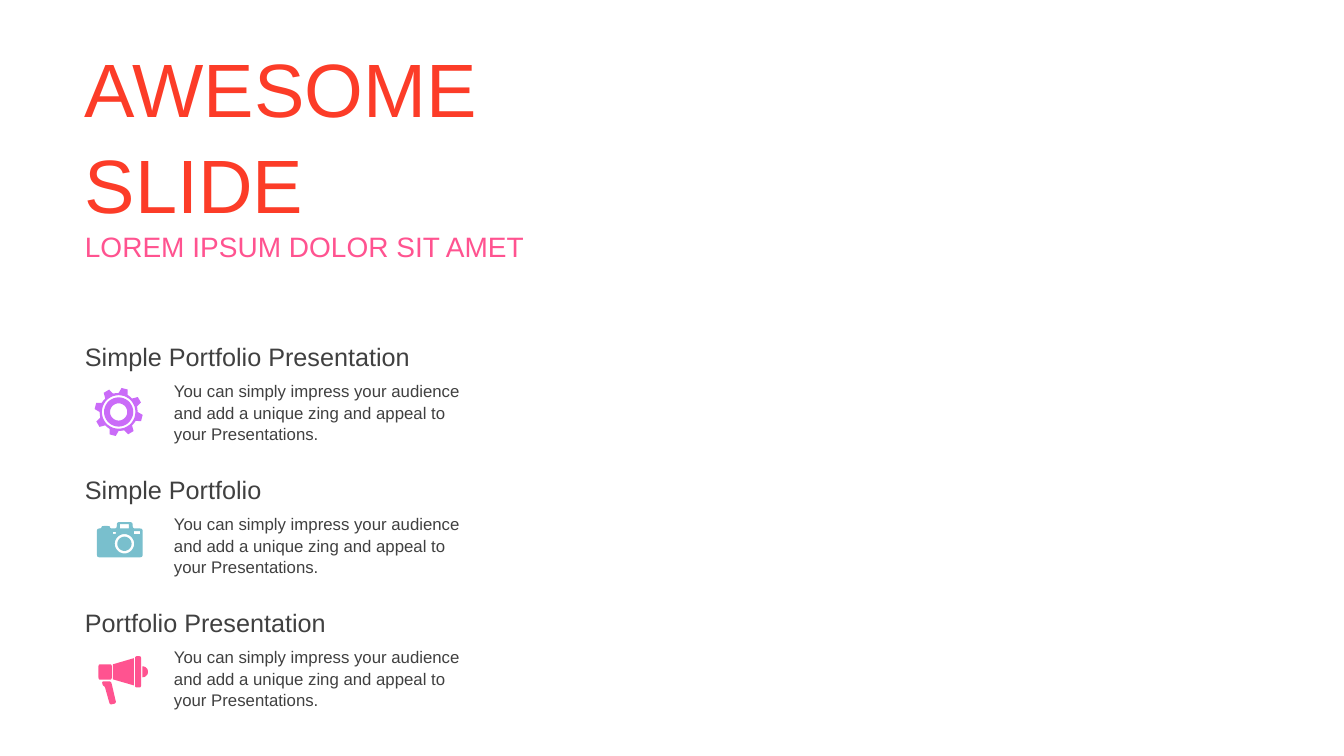
from dataclasses import dataclass
from math import cos, radians, sin

from pptx import Presentation
from pptx import util as u
from pptx.dml.color import RGBColor
from pptx.enum import text

PX = 914400 / 100.8  # EMU in one px
FINE = PX / 10       # icon outlines are drawn in tenths of a px


@dataclass(frozen=True)
class Theme:
    font: str = "Arial"
    title: str = "FC3C28"
    pink: str = "FF5390"
    teal: str = "79BFCD"
    purple: str = "CA6BF8"
    ink: str = "404040"
    title_size: int = 54
    subtitle_size: int = 20
    heading_size: int = 18
    body_size: int = 12


THEME = Theme()


def px(length):
    return u.Emu(round(length * PX))


def add_text(slide, words, box, *, size, color, spacing=1.06,
             align=text.PP_ALIGN.LEFT, anchor=text.MSO_ANCHOR.TOP):
    frame = slide.shapes.add_textbox(*map(px, box)).text_frame
    frame.word_wrap = True
    frame.vertical_anchor = anchor
    line = frame.paragraphs[0]
    line.alignment = align
    line.line_spacing = spacing
    run = line.add_run()
    run.text = words
    run.font.name = THEME.font
    run.font.size = u.Pt(size)
    run.font.color.rgb = RGBColor.from_string(color)


# Outline helpers
def polar(center, radius, degrees):
    x, y = center
    return x + radius * cos(radians(degrees)), y + radius * sin(radians(degrees))


def arc(center, radius, start=0, end=360):
    return [polar(center, radius, angle) for angle in range(start, end + 1, 10)]


def rect(left, top, right, bottom):
    return [(left, top), (right, top), (right, bottom), (left, bottom)]


def toward(a, b, share):
    return a[0] + (b[0] - a[0]) * share, a[1] + (b[1] - a[1]) * share


def rounded(corners, radius=25):
    outline = []
    for i, corner in enumerate(corners):
        ends = []
        for neighbour in (corners[i - 1], corners[(i + 1) % len(corners)]):
            edge = ((neighbour[0] - corner[0]) ** 2 + (neighbour[1] - corner[1]) ** 2) ** 0.5
            ends.append(toward(corner, neighbour, min(radius / edge, 0.5)))
        for share in (0, 0.25, 0.5, 0.75, 1):
            outline.append(toward(toward(ends[0], corner, share),
                                  toward(corner, ends[1], share), share))
    return outline


# Icons, measured from the top left of their feature
def gear():
    center = (437, 710)
    tooth = ((190, 0), (242, 7), (242, 22), (192, 28), (190, 36))
    teeth = [polar(center, radius, turn + angle - 90)
             for turn in range(0, 360, 45) for radius, angle in tooth]
    return [teeth] + [arc(center, radius) for radius in (168, 146, 86)]


def camera():
    body = [(220, 545), (265, 545), (265, 520), (350, 520), (350, 545), (419, 545),
            (419, 481), (577, 481), (577, 545), (677, 545), (677, 833), (220, 833)]
    lens = (495, 698)
    return [rounded(body), arc(lens, 97), arc(lens, 71), rect(450, 502, 540, 545),
            rect(380, 578, 410, 600), rect(590, 572, 652, 602)]


def megaphone():
    handle = [(268, 744), (359, 744), (369, 774), (412, 962),
              (349, 978), (298, 794), (278, 785)]
    horn = [(380, 573), (589, 512), (589, 784), (380, 724)]
    return [rounded(handle, 20), rounded(rect(235, 573, 368, 727), 20), horn,
            rounded(rect(601, 492, 661, 805), 20), arc((675, 648), 55, -90, 90)]


def add_icon(slide, contours, left, top, color):
    builder = slide.shapes.build_freeform(*contours[0][0], scale=FINE)
    for i, contour in enumerate(contours):
        if i:
            builder.move_to(*contour[0])
        builder.add_line_segments(contour[1:], close=True)
    icon = builder.convert_to_shape(px(left), px(top))
    icon.shadow.inherit = False
    icon.fill.solid()
    icon.fill.fore_color.rgb = RGBColor.from_string(color)
    icon.line.fill.background()


# Title and subtitle
def add_header(slide, left, top, width):
    middle = dict(align=text.PP_ALIGN.JUSTIFY, anchor=text.MSO_ANCHOR.MIDDLE)
    add_text(slide, "AWESOME SLIDE", (left, top, width, 194),
             size=THEME.title_size, color=THEME.title, **middle)
    add_text(slide, "LOREM IPSUM DOLOR SIT AMET", (left, top + 187, width, 44),
             size=THEME.subtitle_size, color=THEME.pink, **middle)


# Heading with an icon and a short description
def add_feature(slide, left, top, width, heading, icon, color):
    add_text(slide, heading, (left, top, width, 34),
             size=THEME.heading_size, color=THEME.ink, spacing=0.85)
    add_text(slide, "You can simply impress your audience and add a unique zing "
             "and appeal to your Presentations.", (left + 89, top + 34, width - 88, 72),
             size=THEME.body_size, color=THEME.ink)
    add_icon(slide, icon(), left, top, color)


def main():
    deck = Presentation()
    deck.slide_width, deck.slide_height = px(1344), px(756)
    slide = deck.slides.add_slide(deck.slide_layouts[6])
    add_header(slide, 75, 36, 459)
    features = (
        ("Simple Portfolio Presentation", gear, THEME.purple),
        ("Simple Portfolio", camera, THEME.teal),
        ("Portfolio Presentation", megaphone, THEME.pink),
    )
    for row, feature in enumerate(features):
        add_feature(slide, 75, 341 + 133 * row, 411, *feature)
    deck.save("out.pptx")


if __name__ == "__main__":
    main()
